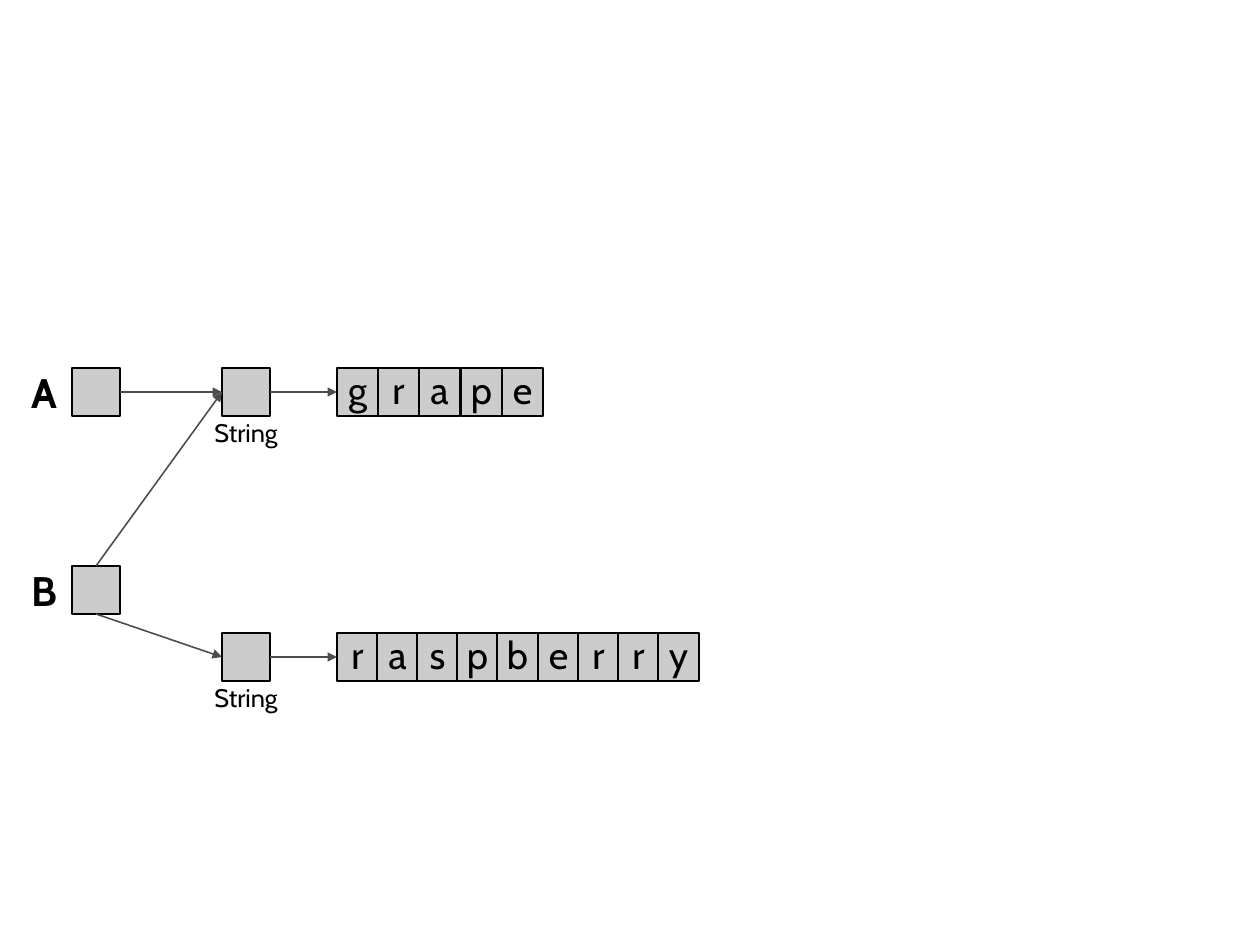
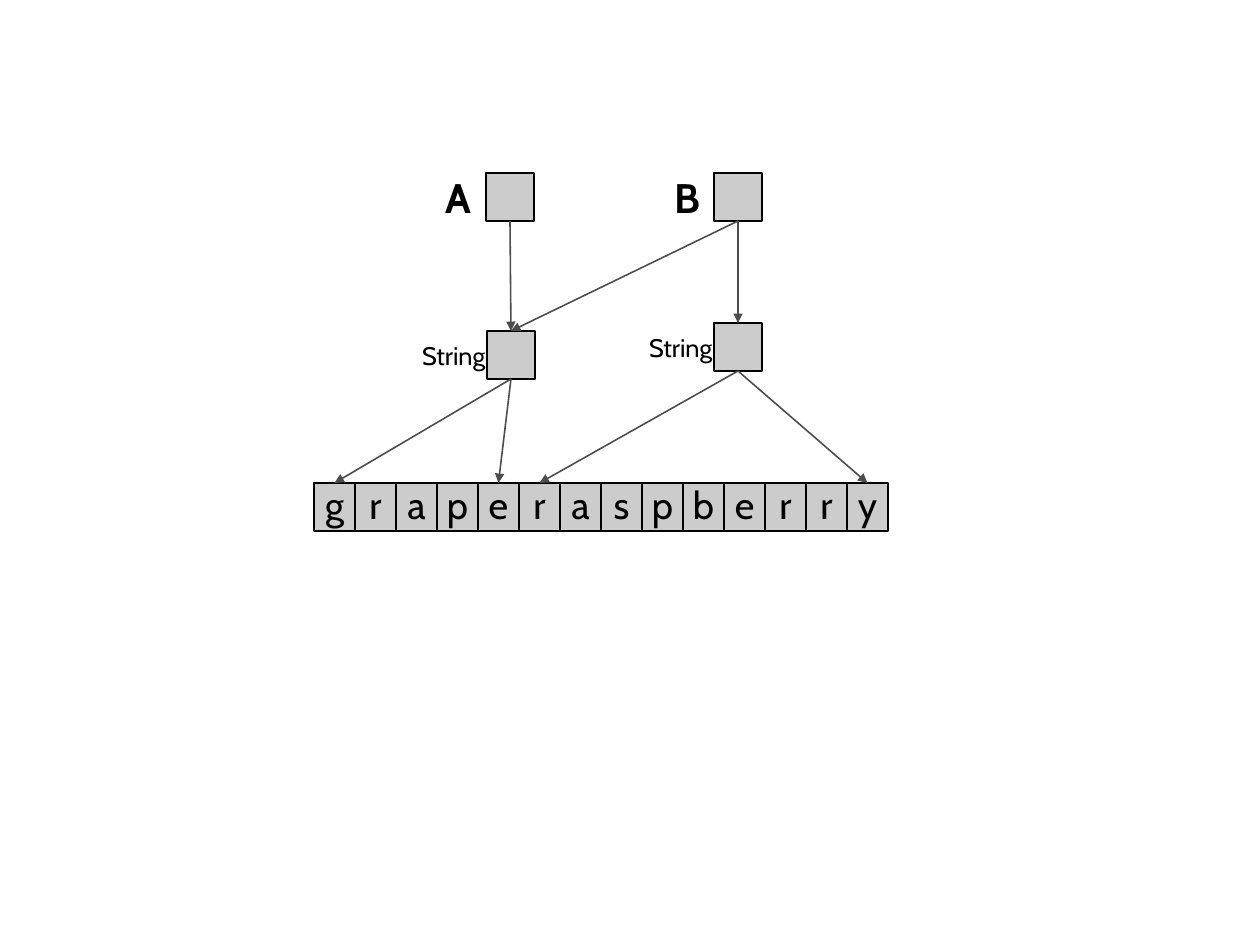
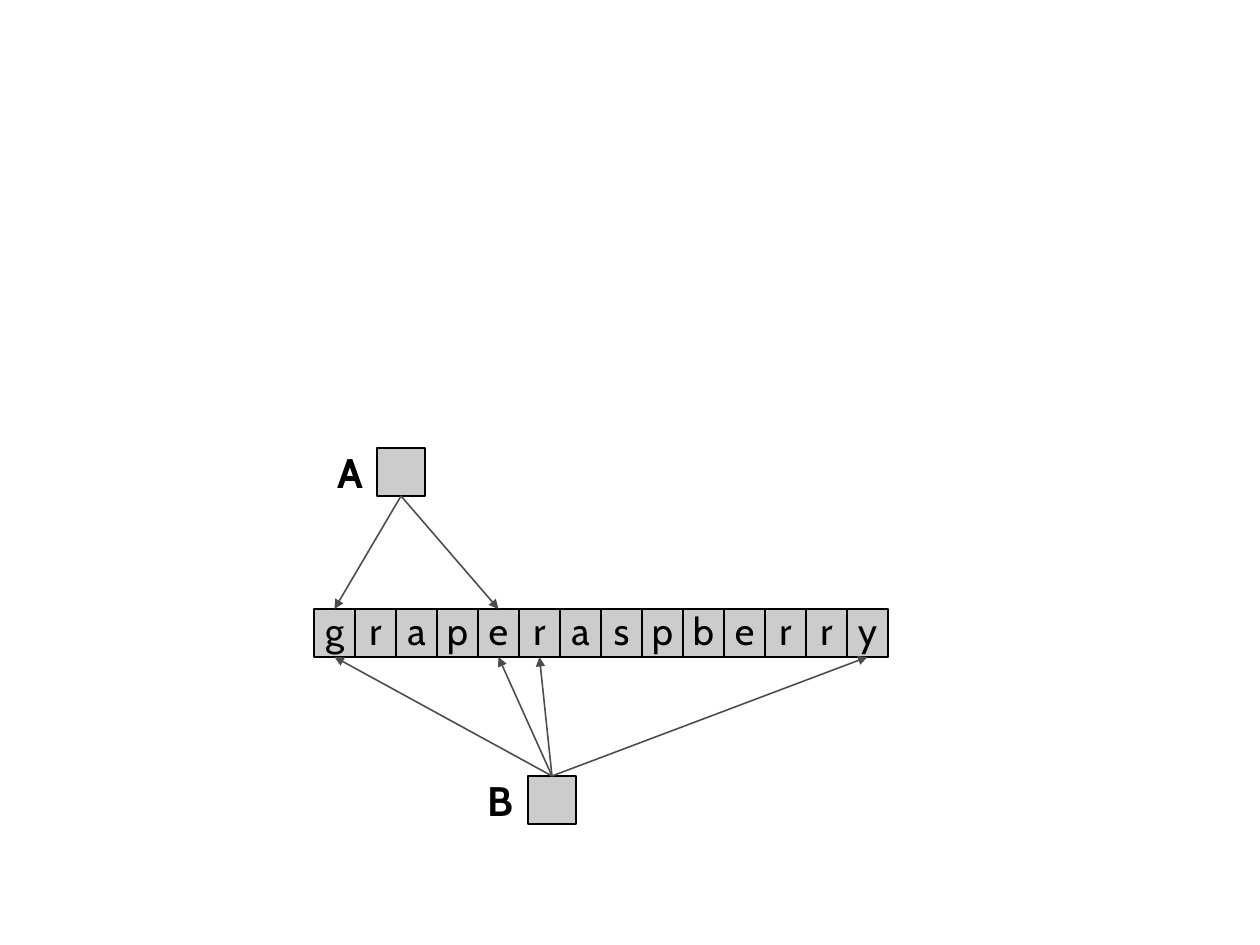
from lxml import etree
from pptx import Presentation
from pptx.dml.color import RGBColor
from pptx.enum.shapes import MSO_CONNECTOR, MSO_SHAPE
from pptx.enum.text import MSO_ANCHOR, PP_ALIGN
from pptx.oxml.ns import qn
from pptx.util import Pt

PX = 8000  # 45 px to the centimetre: the page is 28 by 21 cm
PAGE_WIDTH, PAGE_HEIGHT = 1260, 945
SIDE, CELL_WIDTH = 48, 41

BLACK = RGBColor(0x00, 0x00, 0x00)
GRAY = RGBColor(0xCC, 0xCC, 0xCC)
ARROW_GRAY = RGBColor(0x4C, 0x4C, 0x4C)

PROCESS = MSO_SHAPE.FLOWCHART_PROCESS
STRAIGHT = MSO_CONNECTOR.STRAIGHT
MIDDLE, BOTTOM_ANCHOR = MSO_ANCHOR.MIDDLE, MSO_ANCHOR.BOTTOM
LEFT_ALIGN, CENTER = PP_ALIGN.LEFT, PP_ALIGN.CENTER

# Connection sites of a process box
TOP, LEFT, BOTTOM, RIGHT = range(4)

# Insets run left, top, right, bottom; negative ones push the text outside the box.
LETTER = {"size": 24, "bold": False, "align": CENTER, "anchor": MIDDLE,
          "insets": (10, 5, 10, 11)}
VARIABLE = {"size": 26, "bold": True, "align": LEFT_ALIGN, "anchor": MIDDLE,
            "insets": (-40, 5, 10, 5)}
LABEL_BELOW = {"size": 16, "bold": False, "align": CENTER, "anchor": BOTTOM_ANCHOR,
               "insets": (10, 5, 10, -32)}
LABEL_BESIDE = {"size": 16, "bold": False, "align": LEFT_ALIGN, "anchor": MIDDLE,
                "insets": (-65, 5, 5, 5)}


def add_box(page, text, left, top, style, width=SIDE):
    box = page.shapes.add_shape(PROCESS, left * PX, top * PX, width * PX, SIDE * PX)
    box.shadow.inherit = False
    box.fill.solid()
    box.fill.fore_color.rgb = GRAY
    box.line.color.rgb = BLACK
    box.line.width = Pt(0.71)
    frame = box.text_frame
    frame.word_wrap = False
    frame.vertical_anchor = style["anchor"]
    for edge, inset in zip(("left", "top", "right", "bottom"), style["insets"]):
        setattr(frame, f"margin_{edge}", inset * PX)
    para = frame.paragraphs[0]
    para.alignment = style["align"]
    span = para.add_run()
    span.text = text
    font_format = {"name": "Cabin", "size": Pt(style["size"]), "bold": style["bold"]}
    for name, value in font_format.items():
        setattr(span.font, name, value)
    span.font.color.rgb = BLACK
    return box


def add_word(page, word, left, top, width):
    """Spread one cell per letter evenly over the width and return the cells."""
    pitch = (width - CELL_WIDTH) / (len(word) - 1)
    return [add_box(page, letter, left + round(index * pitch), top, LETTER, CELL_WIDTH)
            for index, letter in enumerate(word)]


def add_arrow(page, source, source_site, target, target_site):
    arrow = page.shapes.add_connector(STRAIGHT, 0, 0, 0, 0)
    arrow.begin_connect(source, source_site)
    arrow.end_connect(target, target_site)
    arrow.line.color.rgb = ARROW_GRAY
    arrow.line.width = Pt(1)
    properties = arrow._element.spPr
    etree.SubElement(properties.find(qn("a:ln")), qn("a:tailEnd"), type="triangle")
    etree.SubElement(properties, qn("a:effectLst"))


def add_string_row(page, word, left, top, width):
    """Place a String box pointing at its own letters and return the box."""
    string = add_box(page, "String", left, top, LABEL_BELOW)
    cells = add_word(page, word, left + 115, top, width)
    add_arrow(page, string, RIGHT, cells[0], LEFT)
    return string


def add_shared_word(page, left, top):
    """Return the first and last cells of both words in one joined row."""
    cells = add_word(page, "graperaspberry", left, top, 574)
    return cells[0], cells[4], cells[5], cells[-1]


def build_separate_arrays(page):
    a = add_box(page, "A", 72, 368, VARIABLE)
    b = add_box(page, "B", 72, 566, VARIABLE)
    grape = add_string_row(page, "grape", 222, 368, 206)
    raspberry = add_string_row(page, "raspberry", 222, 633, 362)
    add_arrow(page, a, RIGHT, grape, LEFT)
    add_arrow(page, b, TOP, grape, LEFT)
    add_arrow(page, b, BOTTOM, raspberry, LEFT)


def build_shared_array(page):
    ends = add_shared_word(page, 314, 483)
    a = add_box(page, "A", 486, 173, VARIABLE)
    b = add_box(page, "B", 714, 173, VARIABLE)
    grape = add_box(page, "String", 487, 331, LABEL_BESIDE)
    raspberry = add_box(page, "String", 714, 323, LABEL_BESIDE)
    for string, word_ends in ((grape, ends[:2]), (raspberry, ends[2:])):
        for cell in word_ends:
            add_arrow(page, string, BOTTOM, cell, TOP)
    for variable, string in ((a, grape), (b, grape), (b, raspberry)):
        add_arrow(page, variable, BOTTOM, string, TOP)


def build_direct_ranges(page):
    ends = add_shared_word(page, 314, 609)
    a = add_box(page, "A", 377, 448, VARIABLE)
    b = add_box(page, "B", 528, 776, VARIABLE)
    for cell in ends[:2]:
        add_arrow(page, a, BOTTOM, cell, TOP)
    for cell in ends:
        add_arrow(page, b, TOP, cell, BOTTOM)


def main():
    deck = Presentation()
    deck.slide_width, deck.slide_height = PAGE_WIDTH * PX, PAGE_HEIGHT * PX
    blank = deck.slide_layouts[6]
    for build in (build_separate_arrays, build_shared_array, build_direct_ranges):
        build(deck.slides.add_slide(blank))
    deck.save("out.pptx")


if __name__ == "__main__":
    main()
